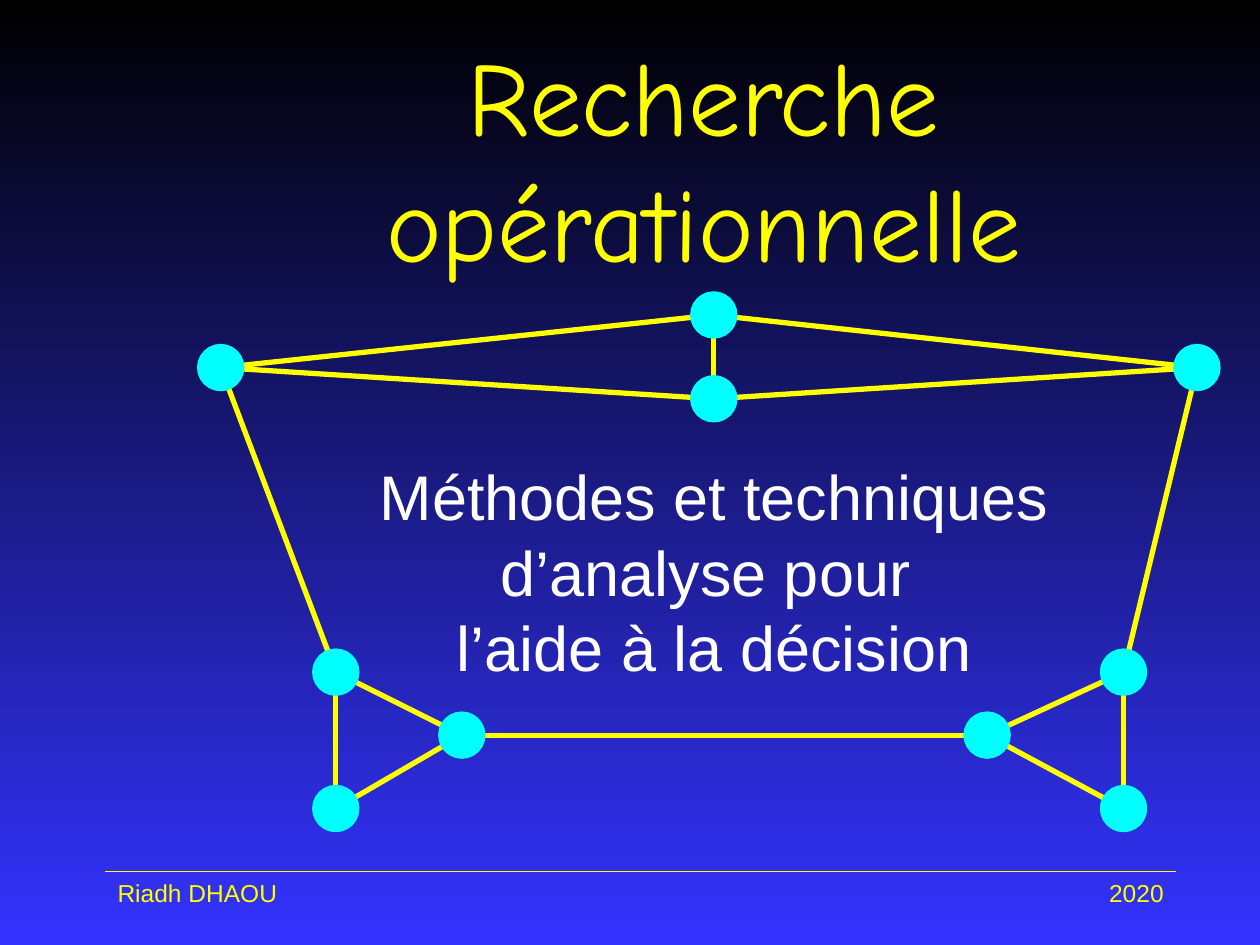
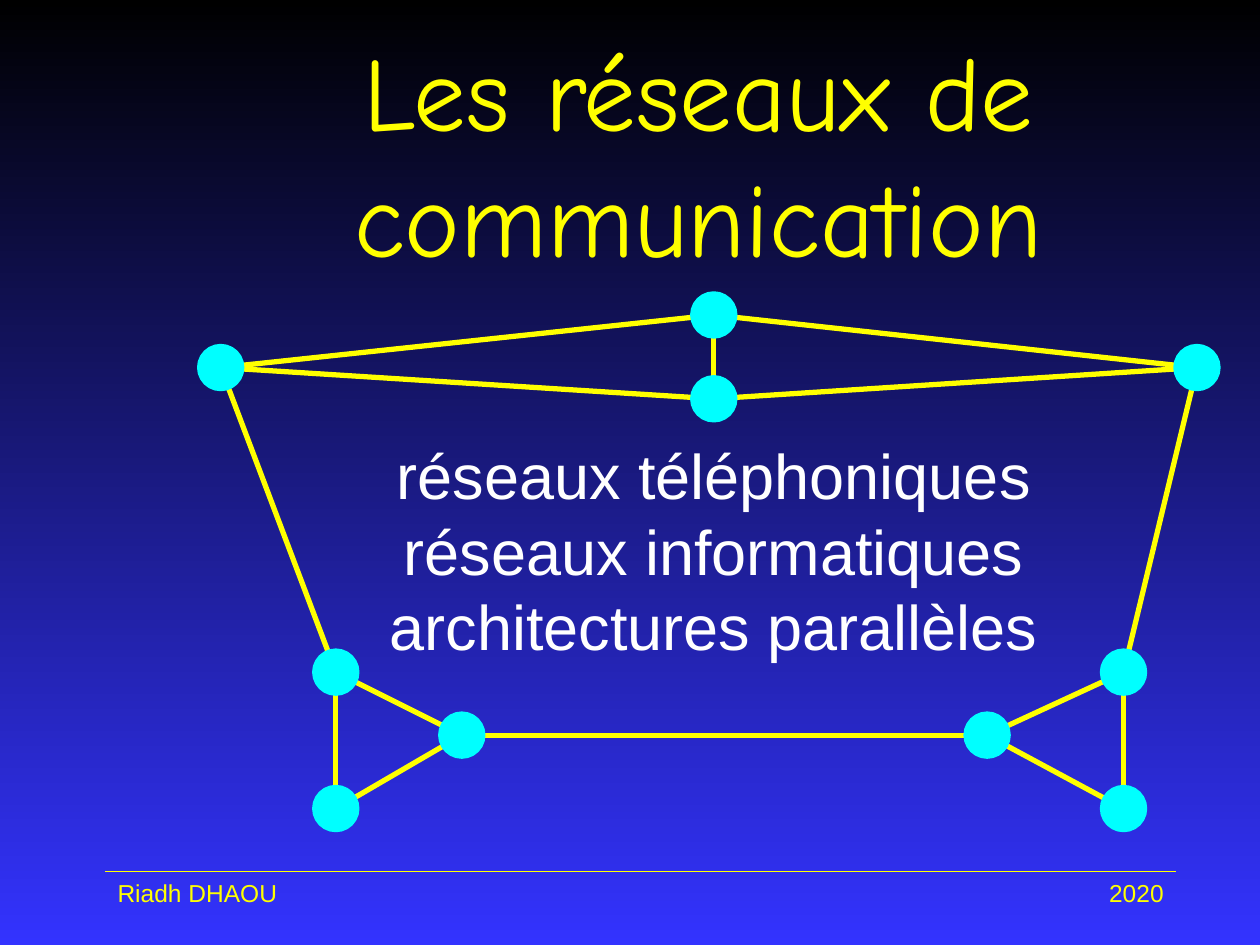
from dataclasses import dataclass

from lxml import etree
from pptx import Presentation
from pptx.dml.color import RGBColor
from pptx.enum.shapes import MSO_CONNECTOR, MSO_SHAPE
from pptx.enum.text import MSO_ANCHOR, PP_ALIGN
from pptx.oxml.ns import qn
from pptx.util import Cm, Pt

STRAIGHT = MSO_CONNECTOR.STRAIGHT
OVAL = MSO_SHAPE.OVAL
TOP, MIDDLE = MSO_ANCHOR.TOP, MSO_ANCHOR.MIDDLE
LEFT, CENTER, RIGHT = PP_ALIGN.LEFT, PP_ALIGN.CENTER, PP_ALIGN.RIGHT


@dataclass(frozen=True)
class Theme:
    sky: RGBColor = RGBColor(0x00, 0x00, 0x00)
    ground: RGBColor = RGBColor(0x33, 0x33, 0xFF)
    accent: RGBColor = RGBColor(0xFF, 0xFF, 0x00)
    node: RGBColor = RGBColor(0x00, 0xFF, 0xFF)
    body: RGBColor = RGBColor(0xFF, 0xFF, 0xFF)
    title_font: str = "Comic Neue"
    body_font: str = "Arial"
    title_size: int = 60
    body_size: int = 36
    footer_size: int = 14
    edge_width: int = 3
    rule_width: int = 1


THEME = Theme()

# Content: boxes are left, top, width, height in centimetres
SLIDES = [
    {
        "title": "Recherche opérationnelle",
        "title_box": (4.66, 0.42, 19.05, 5.5),
        "lines": ["Méthodes et techniques d’analyse pour ", "l’aide à la décision"],
        "lines_box": (4.87, 9.1, 19.05, 5.29),
    },
    {
        "title": "Les réseaux de communication",
        "title_box": (2.75, 0.42, 22.65, 5.29),
        "lines": ["réseaux téléphoniques réseaux informatiques architectures parallèles"],
        "lines_box": (5.5, 8.68, 17.78, 4.87),
    },
]
AUTHOR, YEAR = "Riadh DHAOU", "2020"

# Footer geometry
RULE_LEFT, RULE_RIGHT, RULE_TOP = 2.12, 23.71, 17.57
FOOTER_WIDTH, FOOTER_HEIGHT = 4.88, 0.86

# Network: node centres in centimetres, and the pairs they link
NODE_SIZE = 0.85
NODES = {
    "west": (4.45, 7.41),
    "north": (14.39, 6.35),
    "centre": (14.39, 8.04),
    "east": (24.13, 7.41),
    "left top": (6.77, 13.55),
    "left bottom": (6.77, 16.3),
    "left inner": (9.31, 14.82),
    "right top": (22.65, 13.55),
    "right bottom": (22.65, 16.3),
    "right inner": (19.9, 14.82),
}
EDGES = [
    ("west", "north"), ("north", "east"), ("east", "centre"),
    ("centre", "west"), ("north", "centre"),
    ("west", "left top"), ("east", "right top"),
    ("left inner", "right inner"),
] + [
    (f"{side} {start}", f"{side} {end}")
    for side in ("left", "right")
    for start, end in (("inner", "top"), ("top", "bottom"), ("bottom", "inner"))
]


def add_text(page, lines, area, *, size, color, font=THEME.body_font,
             align=LEFT, anchor=TOP):
    box = page.shapes.add_textbox(*map(Cm, area))
    frame = box.text_frame
    frame.word_wrap = True
    frame.vertical_anchor = anchor
    for index, line in enumerate(lines):
        para = frame.paragraphs[0] if index == 0 else frame.add_paragraph()
        para.alignment = align
        span = para.add_run()
        span.text = line
        span.font.name = font
        span.font.size = Pt(size)
        span.font.color.rgb = color


def add_line(shapes, start, end, width):
    line = shapes.add_connector(STRAIGHT, *map(Cm, (*start, *end)))
    line.line.color.rgb = THEME.accent
    line.line.width = Pt(width)
    etree.SubElement(line._element.spPr, qn("a:effectLst"))


def add_network(page):
    network = page.shapes.add_group_shape()
    for start, end in EDGES:
        add_line(network.shapes, NODES[start], NODES[end], THEME.edge_width)
    for x, y in NODES.values():
        corner = Cm(x - NODE_SIZE / 2), Cm(y - NODE_SIZE / 2)
        node = network.shapes.add_shape(OVAL, *corner, Cm(NODE_SIZE), Cm(NODE_SIZE))
        node.shadow.inherit = False
        node.fill.solid()
        node.fill.fore_color.rgb = THEME.node
        node.line.color.rgb = THEME.node
        node.line.width = Pt(THEME.edge_width)


def add_footer(page):
    add_line(page.shapes, (RULE_LEFT, RULE_TOP), (RULE_RIGHT, RULE_TOP),
             THEME.rule_width)
    for text, left, align in ((AUTHOR, RULE_LEFT, LEFT),
                              (YEAR, RULE_RIGHT - FOOTER_WIDTH, RIGHT)):
        add_text(page, [text], (left, RULE_TOP, FOOTER_WIDTH, FOOTER_HEIGHT),
                 size=THEME.footer_size, color=THEME.accent, align=align)


def paint_background(master):
    fill = master.background.fill
    fill.gradient()
    fill.gradient_angle = 270
    for stop, color in zip(fill.gradient_stops, (THEME.sky, THEME.ground)):
        stop.color.rgb = color


def main():
    deck = Presentation()
    deck.slide_width, deck.slide_height = Cm(25.4), Cm(19.05)
    paint_background(deck.slide_master)
    for content in SLIDES:
        page = deck.slides.add_slide(deck.slide_layouts[6])
        add_footer(page)
        add_text(page, [content["title"]], content["title_box"],
                 size=THEME.title_size, color=THEME.accent,
                 font=THEME.title_font, align=CENTER, anchor=MIDDLE)
        add_text(page, content["lines"], content["lines_box"],
                 size=THEME.body_size, color=THEME.body, align=CENTER)
        add_network(page)
    deck.save("out.pptx")


if __name__ == "__main__":
    main()
